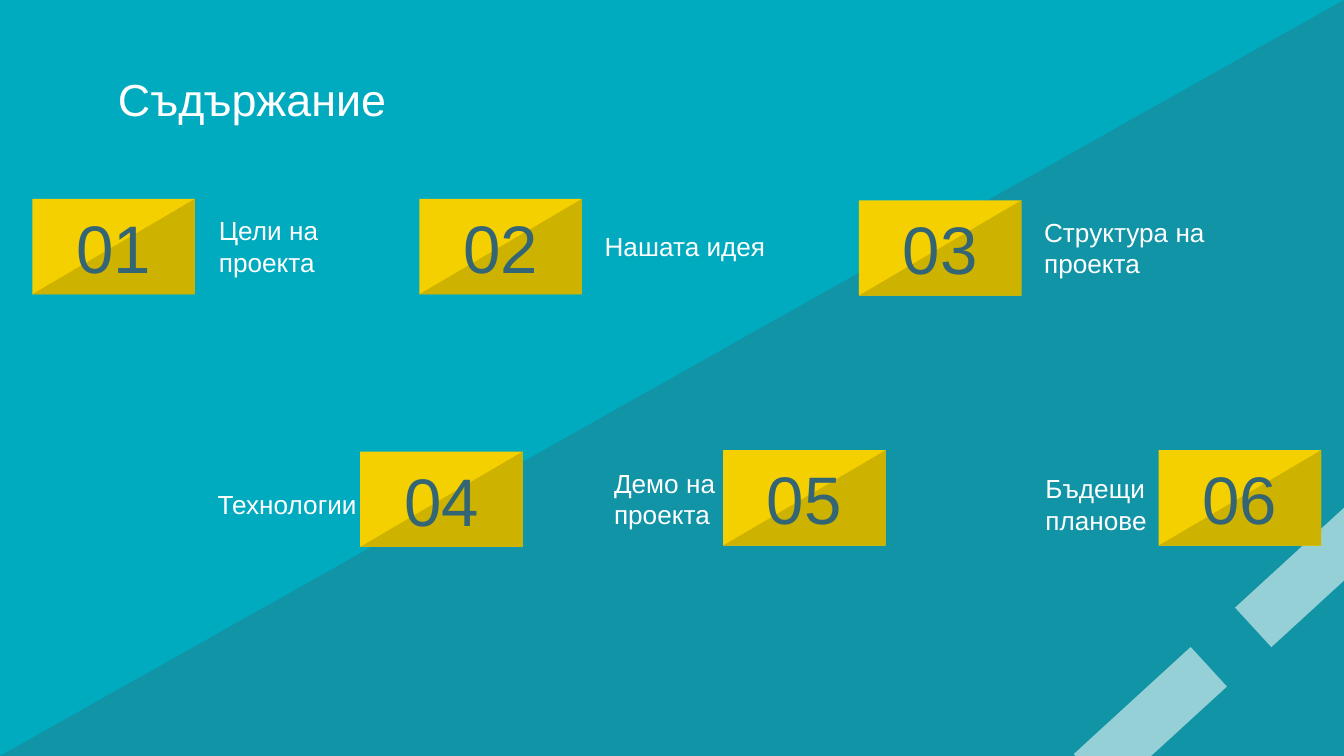
"""Build a contents slide with six numbered cards."""
from pptx import Presentation
from pptx.dml.color import RGBColor
from pptx.enum.shapes import MSO_SHAPE
from pptx.enum.text import MSO_ANCHOR, PP_ALIGN
from pptx.oxml.ns import qn
from pptx.util import Inches, Pt
from lxml import etree

RECT, WEDGE = MSO_SHAPE.RECTANGLE, MSO_SHAPE.RIGHT_TRIANGLE
MIDDLE = MSO_ANCHOR.MIDDLE
LEFT, CENTER = PP_ALIGN.LEFT, PP_ALIGN.CENTER
TEAL = RGBColor(0x00, 0xAB, 0xBF)
SLATE = RGBColor(0x33, 0x65, 0x74)
WHITE = RGBColor(0xFF, 0xFF, 0xFF)
YELLOW = RGBColor(0xF4, 0xD0, 0x00)
GOLD = RGBColor(0xCE, 0xB2, 0x00)

WIDTH = 10
HEIGHT = WIDTH * 9 / 16
CARD_W, CARD_H = 1.21, 0.71
LABEL_W, LABEL_H = 1.55, 0.7
TITLE = "Съдържание"
DASHES = [(7.97, 5.16), (9.17, 4.07)]
CARDS = [
    ("Цели на проекта", (0.24, 1.48), (1.53, 1.48)),
    ("Нашата идея", (3.12, 1.48), (4.4, 1.48)),
    ("Структура на проекта", (6.39, 1.49), (7.67, 1.49)),
    ("Технологии", (2.68, 3.36), (1.52, 3.4)),
    ("Демо на проекта", (5.38, 3.35), (4.47, 3.36)),
    ("Бъдещи планове", (8.62, 3.35), (7.68, 3.4)),
]


def add_shape(slide, kind, box, color, alpha=100, turn=0):
    shape = slide.shapes.add_shape(kind, *map(Inches, box))
    shape.shadow.inherit = False
    shape.fill.solid()
    shape.fill.fore_color.rgb = color
    shape.line.fill.background()
    shape.rotation = turn
    if kind == WEDGE:
        shape._element.spPr.get_or_add_xfrm().set("flipH", "1")
    if alpha < 100:
        tint = shape._element.spPr.find(".//" + qn("a:srgbClr"))
        etree.SubElement(tint, qn("a:alpha")).set("val", str(alpha * 1000))


def add_text(slide, text, box, size, color, align=LEFT):
    frame = slide.shapes.add_textbox(*map(Inches, box)).text_frame
    frame.word_wrap = True
    frame.vertical_anchor = MIDDLE
    frame.margin_left = frame.margin_right = Inches(0.1)
    frame.margin_top = frame.margin_bottom = Inches(0.1)
    frame.text = text
    para = frame.paragraphs[0]
    para.alignment = align
    font = para.runs[0].font
    font.name, font.size = "Arial", Pt(size)
    font.color.rgb = color


def main():
    deck = Presentation()
    deck.slide_width, deck.slide_height = Inches(WIDTH), Inches(HEIGHT)
    slide = deck.slides.add_slide(deck.slide_layouts[6])
    slide.background.fill.solid()
    slide.background.fill.fore_color.rgb = TEAL

    add_shape(slide, WEDGE, (0, 0, WIDTH, HEIGHT), SLATE, alpha=32)
    for spot in DASHES:
        add_shape(slide, RECT, (*spot, 1.18, 0.4), WHITE, alpha=56, turn=317.5)

    add_text(slide, TITLE, (0.78, 0.42, 8.44, 0.63), 24, WHITE)
    for num, (label, spot, place) in enumerate(CARDS, 1):
        card = (*spot, CARD_W, CARD_H)
        add_shape(slide, RECT, card, YELLOW)
        add_shape(slide, WEDGE, card, GOLD)
        add_text(slide, label, (*place, LABEL_W, LABEL_H), 14, WHITE)
        add_text(slide, f"{num:02}", card, 36, SLATE, CENTER)

    deck.save("out.pptx")


if __name__ == "__main__":
    main()
